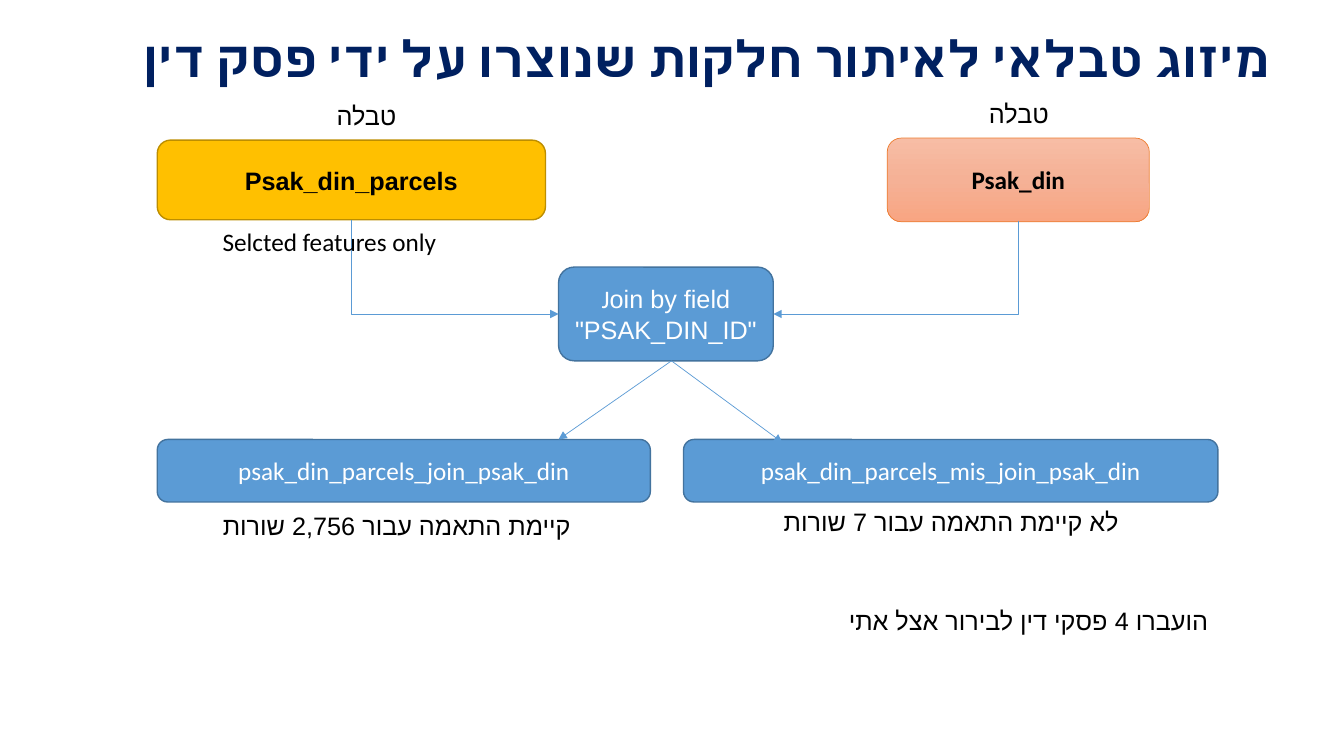
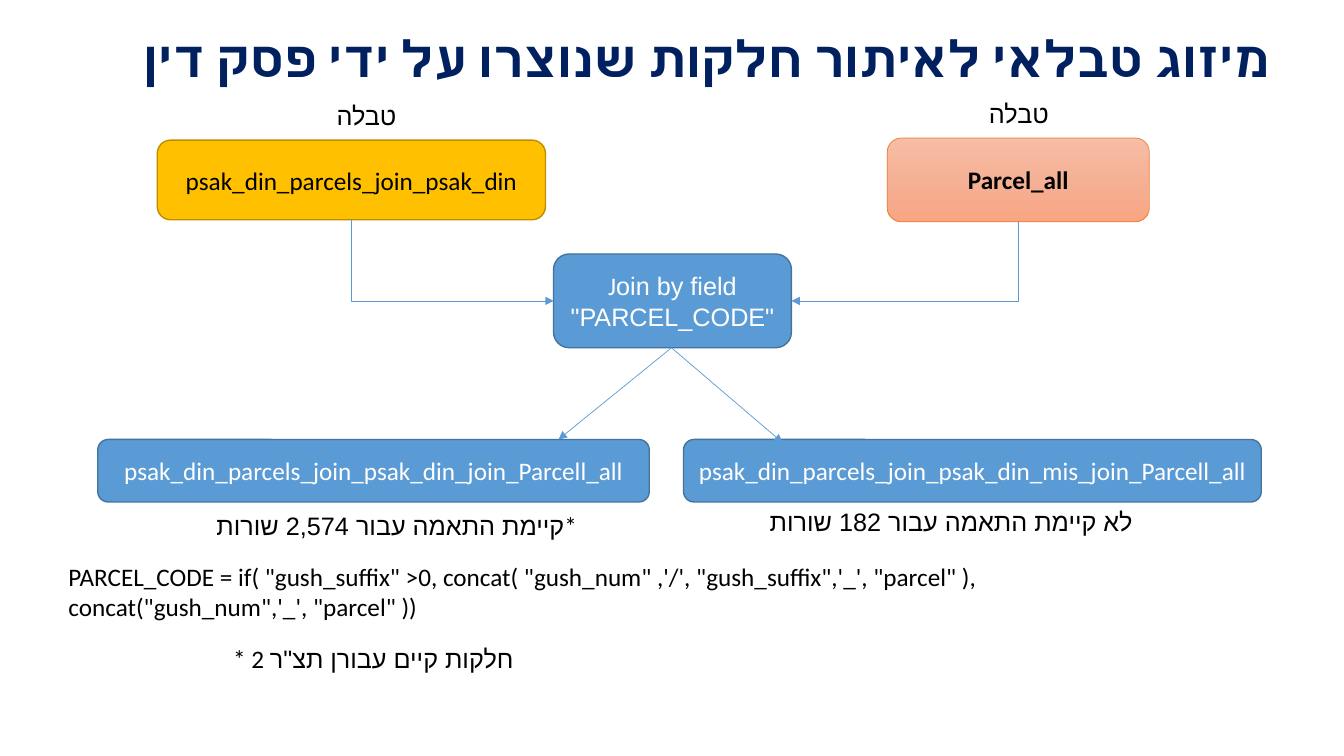
import copy
from dataclasses import dataclass

import pptx
import pptx.dml.color
import pptx.enum.dml
import pptx.enum.shapes
import pptx.enum.text
import pptx.oxml
import pptx.oxml.ns
import pptx.presentation
import pptx.shapes.connector
import pptx.slide
import pptx.text.text
import pptx.util
from pptx.util import Inches

COLORS = {
    "navy": "002060",
    "black": "000000",
    "white": "FFFFFF",
    "gold": "FFC000",
    "gold_edge": "BD8E00",
    "blue": "5B9BD5",
    "blue_edge": "43739E",
    "peach_top": "F7BDA5",
    "peach_middle": "F5B196",
    "peach_bottom": "F8A582",
    "orange": "ED7D31",
}
PEACH = ("peach_top", "peach_middle", "peach_bottom")
ALIGN = pptx.enum.text.PP_ALIGN
CONNECTOR = pptx.enum.shapes.MSO_CONNECTOR
TITLE = "מיזוג טבלאי לאיתור חלקות שנוצרו על ידי פסק דין"
LATIN_FONT = "Calibri"
HEBREW_FONT = "Arial"
JOIN_HEIGHT = 0.93
RESULT_TOP = 4.36
FORK_X = 6.66


@dataclass(frozen=True)
class Span:
    text: str
    font: str = LATIN_FONT
    bold: bool = False


@dataclass(frozen=True)
class Box:
    left: float
    top: float
    width: float
    height: float
    spans: tuple[Span, ...]
    fill: tuple[str, ...] = ("blue",)
    edge: str = "blue_edge"
    edge_width: float = 1
    ink: str = "white"


@dataclass(frozen=True)
class Note:
    left: float
    top: float
    width: float
    text: str
    align: pptx.enum.text.PP_ALIGN = ALIGN.CENTER
    height: float = 0.4


@dataclass(frozen=True)
class JoinFlow:
    left_table: Span
    right_table: str
    field: str
    join_left: float
    join_top: float
    join_width: float
    matched: str
    matched_left: float
    matched_width: float
    unmatched: str
    unmatched_width: float
    notes: tuple[Note, ...]


def rgb(name: str) -> pptx.dml.color.RGBColor:
    return pptx.dml.color.RGBColor.from_string(COLORS[name])


def format_run(run: pptx.text.text._Run, size: float, ink: str,
               font: str = LATIN_FONT, bold: bool = False,
               hebrew_font: str = HEBREW_FONT) -> None:
    run.font.size = pptx.util.Pt(size)
    run.font.bold = bold
    run.font.name = font
    run.font.color.rgb = rgb(ink)
    complex_script = pptx.oxml.parse_xml(
        f'<a:cs {pptx.oxml.ns.nsdecls("a")} typeface="{hebrew_font}"/>')
    run.font._element.append(complex_script)


def add_title(slide: pptx.slide.Slide) -> None:
    title = slide.shapes.title
    title.left, title.top = Inches(0.62), Inches(0.27)
    title.width, title.height = Inches(12.08), Inches(0.68)
    frame = title.text_frame
    frame.text = TITLE
    frame.word_wrap = True
    frame.auto_size = pptx.enum.text.MSO_AUTO_SIZE.NONE
    frame.vertical_anchor = pptx.enum.text.MSO_ANCHOR.MIDDLE
    paragraph = frame.paragraphs[0]
    paragraph.alignment = ALIGN.RIGHT
    paragraph.line_spacing = 0.9
    paragraph._p.get_or_add_pPr().set("rtl", "1")
    format_run(paragraph.runs[0], 36, "navy", bold=True, hebrew_font=LATIN_FONT)


def add_box(slide: pptx.slide.Slide, box: Box) -> None:
    shape = slide.shapes.add_shape(
        pptx.enum.shapes.MSO_SHAPE.ROUNDED_RECTANGLE,
        Inches(box.left), Inches(box.top), Inches(box.width), Inches(box.height))
    shape.shadow.inherit = False
    if len(box.fill) == 1:
        shape.fill.solid()
        shape.fill.fore_color.rgb = rgb(box.fill[0])
    else:
        shape.fill.gradient()
        shape.fill.gradient_angle = 270
        stop_list = shape._element.spPr.find(".//" + pptx.oxml.ns.qn("a:gsLst"))
        while len(stop_list) < len(box.fill):
            stop_list.append(copy.deepcopy(stop_list[0]))
        for index, stop in enumerate(shape.fill.gradient_stops):
            stop.position = index / (len(box.fill) - 1)
            stop.color.rgb = rgb(box.fill[index])
    shape.line.color.rgb = rgb(box.edge)
    shape.line.width = pptx.util.Pt(box.edge_width)
    shape.text_frame.word_wrap = True
    paragraph = shape.text_frame.paragraphs[0]
    paragraph.alignment = ALIGN.CENTER
    for span in box.spans:
        run = paragraph.add_run()
        run.text = span.text
        format_run(run, 18, box.ink, span.font, span.bold)


def add_note(slide: pptx.slide.Slide, note: Note) -> None:
    textbox = slide.shapes.add_textbox(
        Inches(note.left), Inches(note.top), Inches(note.width), Inches(note.height))
    frame = textbox.text_frame
    frame.word_wrap = True
    frame.auto_size = pptx.enum.text.MSO_AUTO_SIZE.SHAPE_TO_FIT_TEXT
    frame.text = note.text
    frame.paragraphs[0].alignment = note.align
    format_run(frame.paragraphs[0].runs[0], 18, "black")


def add_arrow(slide: pptx.slide.Slide, kind: pptx.enum.shapes.MSO_CONNECTOR,
              start: tuple[float, float],
              end: tuple[float, float]) -> pptx.shapes.connector.Connector:
    arrow = slide.shapes.add_connector(kind, *map(Inches, start + end))
    arrow.line.color.rgb = rgb("blue")
    arrow.line.width = pptx.util.Pt(0.5)
    namespace = pptx.oxml.ns.nsdecls("a")
    properties = arrow._element.spPr
    properties.find(pptx.oxml.ns.qn("a:ln")).append(
        pptx.oxml.parse_xml(f'<a:tailEnd {namespace} type="triangle"/>'))
    properties.append(pptx.oxml.parse_xml(f"<a:effectLst {namespace}/>"))
    return arrow


def add_elbow_arrow(slide: pptx.slide.Slide, start: tuple[float, float],
                    end: tuple[float, float]) -> None:
    center_x, center_y = (start[0] + end[0]) / 2, (start[1] + end[1]) / 2
    half_run, half_drop = abs(end[0] - start[0]) / 2, (end[1] - start[1]) / 2
    arrow = add_arrow(slide, CONNECTOR.ELBOW,
                      (center_x - half_drop, center_y - half_run),
                      (center_x + half_drop, center_y + half_run))
    properties = arrow._element.spPr
    properties.find(pptx.oxml.ns.qn("a:prstGeom")).set("prst", "bentConnector2")
    transform = properties.find(pptx.oxml.ns.qn("a:xfrm"))
    heads_right = end[0] > start[0]
    transform.set("rot", str((270 if heads_right else 90) * 60000))
    if heads_right:
        transform.set("flipH", "1")


def build_slide(deck: pptx.presentation.Presentation, flow: JoinFlow) -> None:
    slide = deck.slides.add_slide(deck.slide_layouts[5])
    add_title(slide)
    join_field = (Span("J"), Span(f'oin by field "{flow.field}"', "Arial"))
    boxes = (
        Box(1.56, 1.39, 3.85, 0.79, (flow.left_table,), ("gold",), "gold_edge",
            ink="black"),
        Box(8.8, 1.37, 2.6, 0.83, (Span(flow.right_table, bold=True),), PEACH,
            "orange", 0.5, "black"),
        Box(flow.join_left, flow.join_top, flow.join_width, JOIN_HEIGHT, join_field),
        Box(flow.matched_left, RESULT_TOP, flow.matched_width, 0.62,
            (Span(flow.matched),)),
    )
    for box in boxes:
        add_box(slide, box)
    join_middle = flow.join_top + JOIN_HEIGHT / 2
    join_bottom = flow.join_top + JOIN_HEIGHT
    add_elbow_arrow(slide, (3.48, 2.18), (flow.join_left, join_middle))
    add_elbow_arrow(slide, (10.1, 2.19),
                    (flow.join_left + flow.join_width, join_middle))
    add_arrow(slide, CONNECTOR.STRAIGHT, (FORK_X, join_bottom), (5.54, RESULT_TOP))
    add_box(slide, Box(6.78, RESULT_TOP, flow.unmatched_width, 0.62,
                       (Span(flow.unmatched),)))
    add_arrow(slide, CONNECTOR.STRAIGHT, (FORK_X, join_bottom), (7.76, 4.39))
    table_labels = (Note(2.76, 0.95, 1.75, "טבלה"), Note(9.23, 0.93, 1.75, "טבלה"))
    for note in table_labels + flow.notes:
        add_note(slide, note)


FLOWS = (
    JoinFlow(
        left_table=Span("Psak_din_parcels", "Arial", True),
        right_table="Psak_din",
        field="PSAK_DIN_ID",
        join_left=5.54, join_top=2.65, join_width=2.13,
        matched="psak_din_parcels_join_psak_din",
        matched_left=1.56, matched_width=4.89,
        unmatched="psak_din_parcels_mis_join_psak_din",
        unmatched_width=5.3,
        notes=(
            Note(1.94, 5.01, 3.99, "קיימת התאמה עבור 2,756 שורות"),
            Note(7.44, 4.97, 3.99, "לא קיימת התאמה עבור 7 שורות"),
            Note(2.11, 2.2, 2.74, "Selcted features only", ALIGN.LEFT),
            Note(8.09, 5.96, 3.99, "הועברו 4 פסקי דין לבירור אצל אתי", ALIGN.RIGHT),
        ),
    ),
    JoinFlow(
        left_table=Span("psak_din_parcels_join_psak_din"),
        right_table="Parcel_all",
        field="PARCEL_CODE",
        join_left=5.49, join_top=2.52, join_width=2.36,
        matched="psak_din_parcels_join_psak_din_join_Parcell_all",
        matched_left=0.97, matched_width=5.47,
        unmatched="psak_din_parcels_join_psak_din_mis_join_Parcell_all",
        unmatched_width=5.73,
        notes=(
            Note(1.94, 5.01, 3.99, "קיימת התאמה עבור 2,574 שורות*"),
            Note(7.44, 4.97, 3.99, "לא קיימת התאמה עבור 182 שורות"),
            Note(0.58, 5.52, 9.35,
                 'PARCEL_CODE = if( "gush_suffix" >0, concat( "gush_num" ,\'/\', '
                 '"gush_suffix",\'_\', "parcel" ), concat("gush_num",\'_\', "parcel" ))',
                 ALIGN.LEFT, 0.71),
            Note(1.71, 6.33, 3.99, '* 2 חלקות קיים עבורן תצ"ר'),
        ),
    ),
)

presentation = pptx.Presentation()
presentation.slide_width = Inches(13.33)
presentation.slide_height = Inches(7.5)
for join_flow in FLOWS:
    build_slide(presentation, join_flow)
presentation.save("out.pptx")
